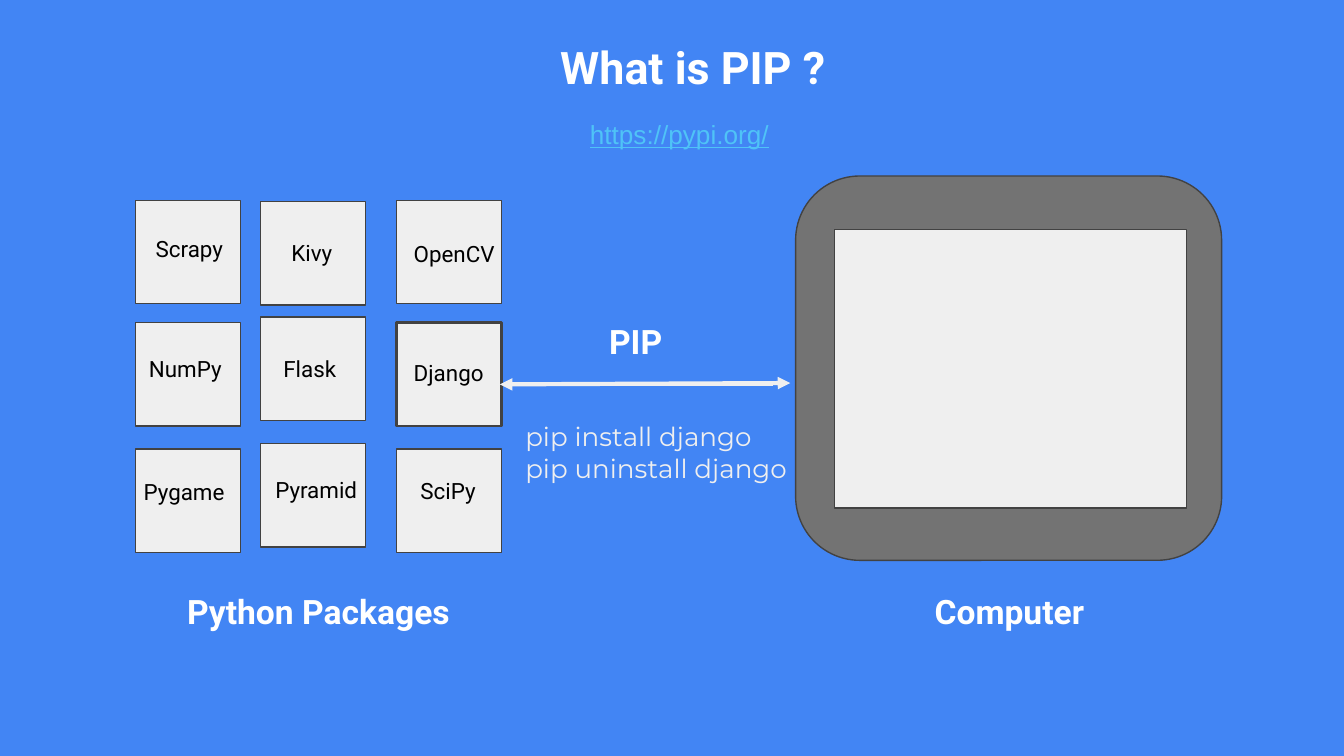
from pptx import Presentation
from pptx.dml.color import RGBColor
from pptx.enum.shapes import MSO_CONNECTOR, MSO_SHAPE
from pptx.enum.text import MSO_ANCHOR, PP_ALIGN
from pptx.oxml.ns import qn
from pptx.util import Inches, Pt
from lxml.etree import SubElement

BLUE = RGBColor(0x42, 0x85, 0xF4)
WHITE = RGBColor(0xFF, 0xFF, 0xFF)
BLACK = RGBColor(0, 0, 0)
PALE = RGBColor(0xEF, 0xEF, 0xEF)
GREY = RGBColor(0x73, 0x73, 0x73)
DARK = RGBColor(0x42, 0x42, 0x42)
LINK = RGBColor(0x4F, 0xC3, 0xF7)

# A 16:9 slide
deck = Presentation()
deck.slide_width = Inches(10)
deck.slide_height = Inches(10 * 9 / 16)
slide = deck.slides.add_slide(deck.slide_layouts[5])
slide.background.fill.solid()
slide.background.fill.fore_color.rgb = BLUE
shapes = slide.shapes


def put_text(text, at, size, color, face="Roboto", bold=False,
             align=PP_ALIGN.LEFT, anchor=MSO_ANCHOR.TOP, box=None):
    at = [Inches(n) for n in at]
    box = box or shapes.add_textbox(*at)
    box.left, box.top, box.width, box.height = at
    frame = box.text_frame
    frame.text = text
    frame.word_wrap = True
    frame.vertical_anchor = anchor
    frame.margin_left = frame.margin_right = Inches(0.1)
    frame.margin_top = frame.margin_bottom = Inches(0.1)
    for para in frame.paragraphs:
        para.alignment = align
        for run in para.runs:
            font = run.font
            font.name, font.size, font.bold = face, Pt(size), bold
            font.color.rgb = color
    return box


def put_shape(kind, at, fill, width=0.75):
    shape = shapes.add_shape(kind, *[Inches(n) for n in at])
    shape.shadow.inherit = False
    shape.fill.solid()
    shape.fill.fore_color.rgb = fill
    shape.line.color.rgb = DARK
    shape.line.width = Pt(width)
    return shape


# Title and link
put_text("What is PIP ?", (0.66, -0.06, 8.99, 1.11), 24, WHITE, bold=True,
         align=PP_ALIGN.CENTER, anchor=MSO_ANCHOR.MIDDLE, box=shapes.title)
link = put_text("https://pypi.org/", (2.13, 0.78, 5.85, 0.49), 14, LINK,
                face="Arial", align=PP_ALIGN.CENTER)
link.text_frame.paragraphs[0].runs[0].font.underline = True

# Package tiles, column by column
cols = [(1.01, (1.49, 2.4, 3.34)),
        (1.94, (1.5, 2.36, 3.3)),
        (2.95, (1.49, 2.4, 3.34))]
for left, tops in cols:
    for top in tops:
        width = 1.5 if (left, top) == (2.95, 2.4) else 0.75
        put_shape(MSO_SHAPE.RECTANGLE, (left, top, 0.78, 0.77), PALE, width)

# Package names: left, top, width, height
names = {
    "Scrapy": (1.06, 1.65, 0.72, 0.46),
    "Kivy": (2.07, 1.68, 0.72, 0.46),
    "OpenCV": (2.98, 1.69, 1, 0.46),
    "NumPy": (1.01, 2.54, 0.78, 0.62),
    "Flask": (2.01, 2.54, 0.72, 0.62),
    "Django": (2.98, 2.57, 0.72, 0.46),
    "Pygame": (0.97, 3.46, 0.91, 0.62),
    "Pyramid": (1.95, 3.44, 0.84, 0.62),
    "SciPy": (3.03, 3.45, 0.78, 0.62),
}
for name, at in names.items():
    put_text(name, at, 12, BLACK)

# Computer and its screen
case = put_shape(MSO_SHAPE.ROUNDED_RECTANGLE, (5.92, 1.31, 3.17, 2.86), GREY)
case.adjustments[0] = 0.167
put_shape(MSO_SHAPE.RECTANGLE, (6.21, 1.71, 2.62, 2.07), PALE)

# Captions
for text, at in [("Python Packages", (0.9, 3.99, 2.94, 1.11)),
                 ("Computer", (6.04, 3.99, 2.94, 1.11)),
                 ("PIP", (3.26, 2.33, 2.94, 0.42))]:
    put_text(text, at, 18, WHITE, bold=True,
             align=PP_ALIGN.CENTER, anchor=MSO_ANCHOR.MIDDLE)

# Commands
put_text("pip install django\npip uninstall django",
         (3.81, 3.03, 2.28, 1.01), 14, PALE, face="Montserrat")

# Arrows both ways between packages and computer
for ends in [(3.76, 2.86, 5.88, 2.85), (5.75, 2.86, 3.72, 2.86)]:
    arrow = shapes.add_connector(MSO_CONNECTOR.STRAIGHT,
                                 *[Inches(n) for n in ends])
    arrow.line.color.rgb = PALE
    arrow.line.width = Pt(2.25)
    line = arrow._element.spPr.find(qn("a:ln"))
    SubElement(line, qn("a:tailEnd"), type="triangle")
    SubElement(arrow._element.spPr, qn("a:effectLst"))

deck.save("out.pptx")
